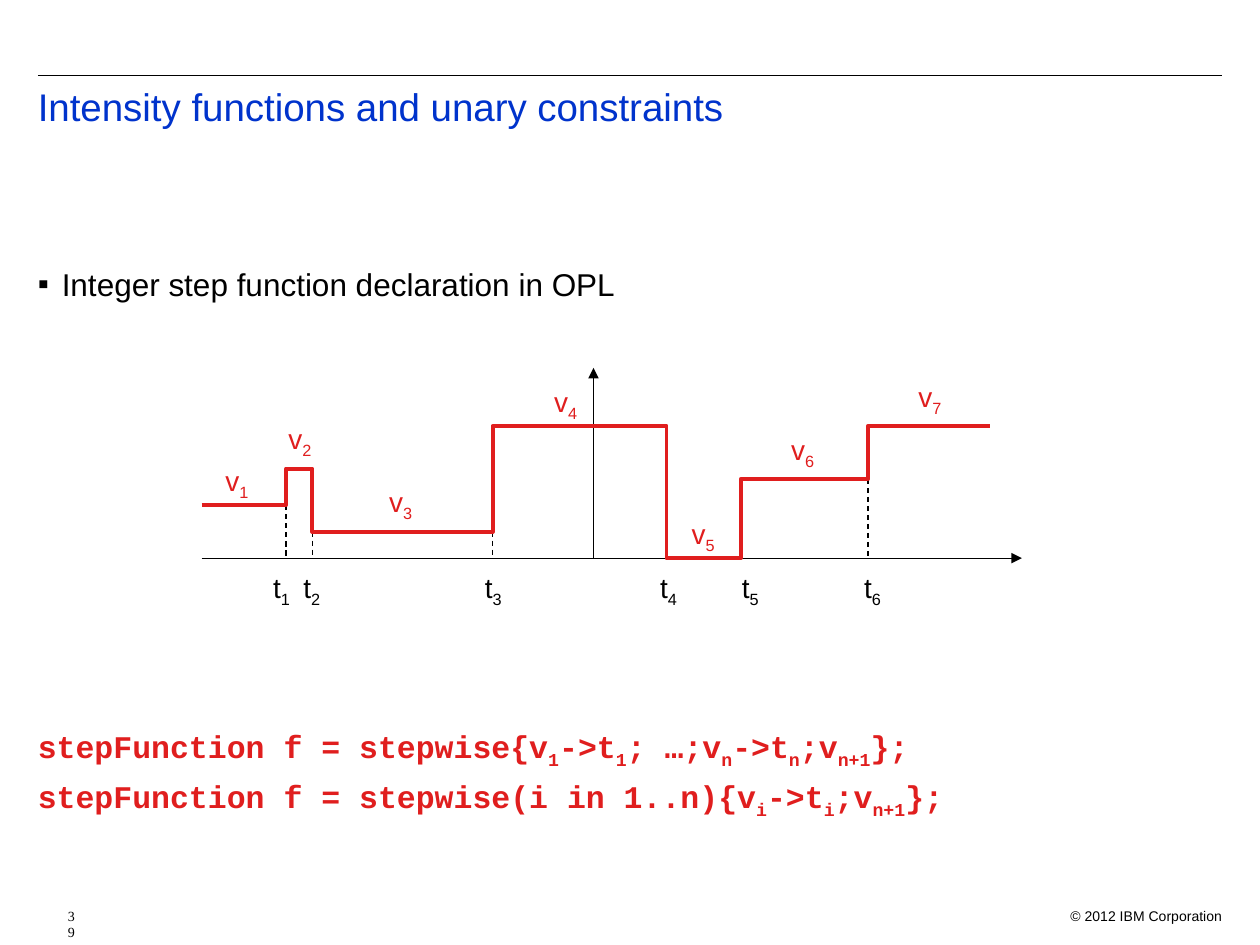
from dataclasses import dataclass

import pptx
import pptx.dml.color
import pptx.enum.dml
import pptx.enum.shapes
import pptx.enum.text
import pptx.oxml.ns
import pptx.util
from lxml import etree

EMU_PER_PX = 9144
COLORS = {"black": "000000", "red": "E01E1E", "blue": "0033CC"}
AXIS_Y = 443
LEFT_ALIGN = pptx.enum.text.PP_ALIGN.LEFT
RIGHT_ALIGN = pptx.enum.text.PP_ALIGN.RIGHT


@dataclass(frozen=True)
class Style:
    size: int
    color: str = "black"
    font: str = "Arial"
    bold: bool = False


@dataclass(frozen=True)
class Label:
    text: str
    left: int
    top: int
    width: int
    color: str


@dataclass(frozen=True)
class Step:
    start: int
    end: int
    level: int


STEPS = [
    Step(160, 227, 401),
    Step(227, 248, 372),
    Step(248, 391, 422),
    Step(391, 529, 338),
    Step(529, 588, AXIS_Y),
    Step(588, 689, 380),
    Step(689, 786, 338),
]
VALUE_SPOTS = [(169, 363), (219, 330), (299, 380), (430, 300), (539, 405), (618, 338), (719, 296)]
TIME_LEFTS = [207, 231, 375, 514, 579, 676]
LABELS = [
    Label(f"v|{number}", left, top, 38, "red")
    for number, (left, top) in enumerate(VALUE_SPOTS, 1)
] + [Label(f"t|{number}", left, 448, 33, "black") for number, left in enumerate(TIME_LEFTS, 1)]
CODE_LINES = [
    "stepFunction f = stepwise{v|1|->t|1|; …;v|n|->t|n|;v|n+1|};",
    "stepFunction f = stepwise(i in 1..n){v|i|->t|i|;v|n+1|};",
]


def px(length: int) -> pptx.util.Emu:
    return pptx.util.Emu(length * EMU_PER_PX)


def rgb(color: str) -> pptx.dml.color.RGBColor:
    return pptx.dml.color.RGBColor.from_string(COLORS[color])


def add_child(parent, tag: str, **attributes: str):
    child = etree.SubElement(parent, pptx.oxml.ns.qn(tag))
    for name, value in attributes.items():
        child.set(name, value)
    return child


def set_indent(para, margin: int, indent: int, bullet: str = "") -> None:
    properties = para._p.get_or_add_pPr()
    properties.set("marL", str(px(margin)))
    properties.set("indent", str(px(indent)))
    if bullet:
        color = add_child(properties, "a:buClr")
        add_child(color, "a:srgbClr", val=COLORS["black"])
        add_child(properties, "a:buFont", typeface="Arial")
        add_child(properties, "a:buChar", char=bullet)
    else:
        add_child(properties, "a:buNone")


def write(para, text: str, style: Style) -> None:
    for index, part in enumerate(text.split("|")):
        span = para.add_run()
        span.text = part
        if index % 2:
            span._r.get_or_add_rPr().set("baseline", "-25000")
    para.font.size = pptx.util.Pt(style.size)
    para.font.name = style.font
    para.font.bold = style.bold
    para.font.color.rgb = rgb(style.color)


def place(box, left: int, top: int, width: int, height: int, wrap: bool = True):
    box.left, box.top, box.width, box.height = map(px, (left, top, width, height))
    frame = box.text_frame
    frame.word_wrap = wrap
    frame.auto_size = pptx.enum.text.MSO_AUTO_SIZE.NONE
    frame.vertical_anchor = pptx.enum.text.MSO_ANCHOR.TOP
    return frame.paragraphs[0]


def add_text(shapes, left: int, top: int, width: int, height: int, wrap: bool = True):
    box = shapes.add_textbox(0, 0, 0, 0)
    return place(box, left, top, width, height, wrap)


def add_line(shapes, x1: int, y1: int, x2: int, y2: int,
             dashed: bool = False, arrow: bool = False) -> None:
    line = shapes.add_connector(
        pptx.enum.shapes.MSO_CONNECTOR.STRAIGHT, px(x1), px(y1), px(x2), px(y2))
    line.line.color.rgb = rgb("black")
    line.line.width = pptx.util.Pt(0.75)
    if dashed:
        line.line.dash_style = pptx.enum.dml.MSO_LINE.DASH
    if arrow:
        add_child(line.line._get_or_add_ln(), "a:tailEnd", type="triangle")
    add_child(line._element.spPr, "a:effectLst")


def draw_graph(page) -> None:
    shapes = page.shapes.add_group_shape().shapes
    add_line(shapes, 160, AXIS_Y, 811, AXIS_Y, arrow=True)
    add_line(shapes, 471, AXIS_Y, 471, 292, arrow=True)
    for before, after in zip(STEPS, STEPS[1:]):
        lower = max(before.level, after.level)
        if lower < AXIS_Y:
            add_line(shapes, after.start, lower, after.start, AXIS_Y, dashed=True)

    for label in LABELS:
        para = add_text(shapes, label.left, label.top, label.width, 41, wrap=False)
        write(para, label.text, Style(16, label.color))

    points = [(px(x), px(step.level)) for step in STEPS for x in (step.start, step.end)]
    builder = shapes.build_freeform(*points[0])
    builder.add_line_segments(points[1:], close=False)
    curve = builder.convert_to_shape()
    curve.shadow.inherit = False
    curve.fill.background()
    curve.line.color.rgb = rgb("red")
    curve.line.width = pptx.util.Pt(2.25)


def fill_body(box) -> None:
    para = place(box, 20, 205, 950, 490)
    para.space_before = pptx.util.Pt(0)
    set_indent(para, 19, -19, "▪")
    write(para, "Integer step function declaration in OPL", Style(18))
    for text, space in zip(CODE_LINES, (247, 11.2)):
        para = box.text_frame.add_paragraph()
        para.line_spacing = 0.7
        para.space_before = pptx.util.Pt(space)
        set_indent(para, 19, -19)
        write(para, text, Style(18, "red", "Courier New", True))


def main() -> None:
    deck = pptx.Presentation()
    deck.slide_width, deck.slide_height = px(1000), px(750)
    page = deck.slides.add_slide(deck.slide_layouts[1])

    add_line(page.shapes, 30, 60, 970, 60)
    title = place(page.shapes.title, 20, 65, 950, 70)
    title.alignment = LEFT_ALIGN
    title.line_spacing = 0.9
    write(title, "Intensity functions and unary constraints", Style(22, "blue"))

    draw_graph(page)
    fill_body(page.placeholders[1])

    footer = add_text(page.shapes, 830, 715, 150, 20)
    footer.alignment = RIGHT_ALIGN
    write(footer, "© 2012 IBM Corporation", Style(8))
    number = add_text(page.shapes, 20, 715, 40, 20)
    set_indent(number, 24, 0)
    write(number, "39", Style(8, font="Times New Roman"))

    deck.save("out.pptx")


if __name__ == "__main__":
    main()
